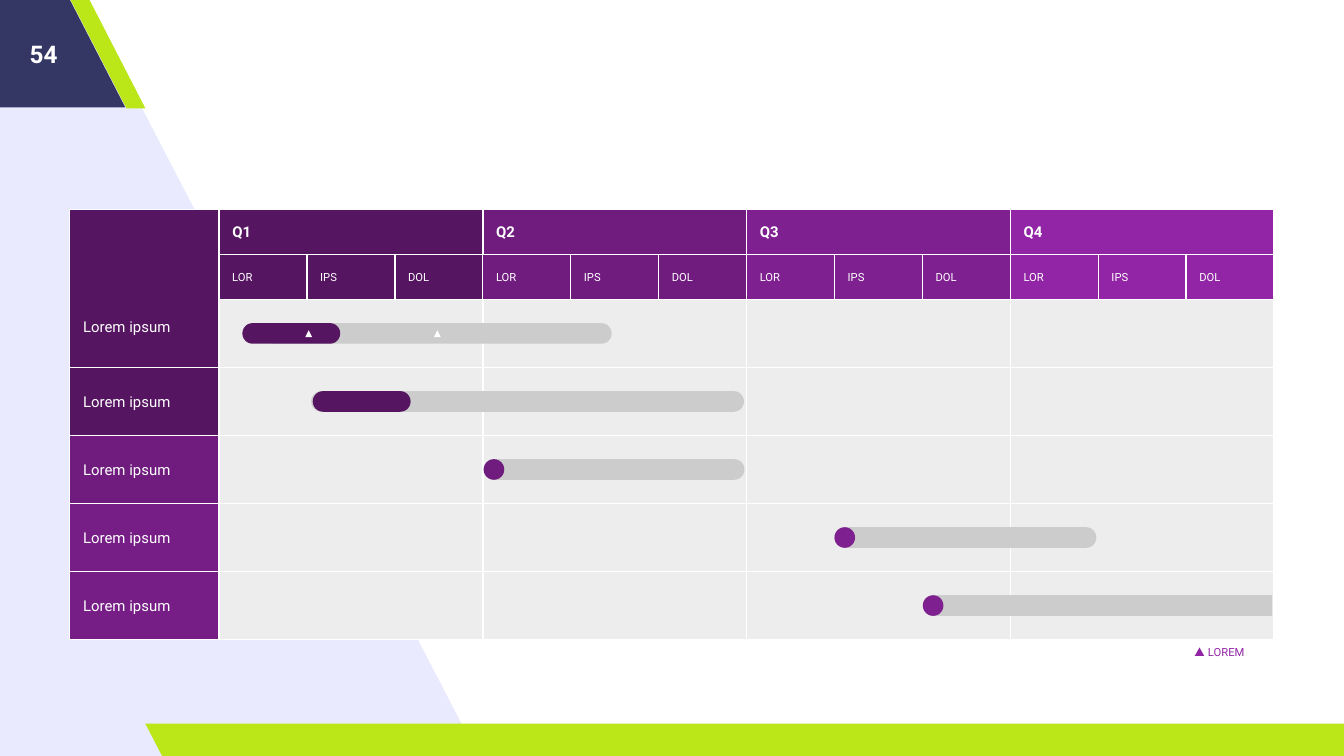
from pptx import Presentation, util as u
from pptx.dml.color import RGBColor
from pptx.enum import shapes, text

COLORS = {
    "white": "FFFFFF", "lavender": "E9EAFD", "navy": "343764", "lime": "BBE617",
    "cell": "EDEDED", "bar": "CCCCCC", "q1": "551561", "q2": "701C7F",
    "q3": "7F2090", "q4": "9225A5", "label": "761E86",
}
QUARTERS = ["q1", "q2", "q3", "q4"]
MONTHS = ["LOR", "IPS", "DOL"]
BAR_HEIGHT = 0.39
INSET = 0.25
KIND = shapes.MSO_SHAPE

# Each task: label colour, bar start and length, progress (start, length, colour), markers.
# Starts are measured in cm from the left edge of the quarter grid.
TASKS = [
    ("q1", 0.84, 6.58, (0.44, 1.85, "q1"), (1.63, 4.06)),
    ("q1", 1.74, 8.18, (1.77, 1.85, "q1"), ()),
    ("q2", 5.0, 4.93, (5.0, BAR_HEIGHT, "q2"), ()),
    ("label", 11.63, 4.95, (11.63, BAR_HEIGHT, "q3"), ()),
    ("label", 13.3, 6.6, (13.3, BAR_HEIGHT, "q3"), ()),
]


def rgb(name):
    return RGBColor.from_string(COLORS[name])


def paint(shape, color, outline=None):
    shape.shadow.inherit = False
    shape.fill.solid()
    shape.fill.fore_color.rgb = rgb(color)
    if outline:
        shape.line.color.rgb = rgb(outline)
        shape.line.width = u.Pt(0.75)
    else:
        shape.line.fill.background()


def add_block(slide, kind, box, color, outline=None, adjustments=(), flip=False):
    shape = slide.shapes.add_shape(kind, *map(u.Cm, box))
    paint(shape, color, outline)
    for index, value in enumerate(adjustments):
        shape.adjustments[index] = value
    if flip:
        shape._element.spPr.get_or_add_xfrm().set("flipH", "1")
    return shape


def write(shape, words, size, color="white", bold=False, align=text.PP_ALIGN.LEFT, **frame_format):
    frame = shape.text_frame
    settings = {
        "word_wrap": True, "vertical_anchor": text.MSO_ANCHOR.MIDDLE,
        "margin_left": u.Cm(INSET), "margin_right": u.Cm(INSET),
        "margin_top": u.Cm(INSET), "margin_bottom": u.Cm(INSET),
    }
    for name, value in {**settings, **frame_format}.items():
        setattr(frame, name, value)
    paragraph = frame.paragraphs[0]
    paragraph.alignment = align
    run = paragraph.add_run()
    run.text = words
    for name, value in {"name": "Roboto", "size": u.Pt(size), "bold": bold}.items():
        setattr(run.font, name, value)
    run.font.color.rgb = rgb(color)


def add_bar(slide, left, middle, length, color, right_round=0.5):
    # The shape stands upright and is turned, so its top becomes the right end
    box = (left + (length - BAR_HEIGHT) / 2, middle - length / 2, BAR_HEIGHT, length)
    bar = add_block(slide, KIND.ROUND_2_SAME_RECTANGLE, box, color,
                    adjustments=(right_round, 0.5))
    bar.rotation = 90


def add_backdrop(slide, box):
    left, top, width, height = box
    # Slanted panel
    points = [(9.04, height), (1.57, -0.1), (-0.16, -0.1), (-0.05, height + 0.09)]
    corners = [(u.Cm(left + x), u.Cm(top + y)) for x, y in points]
    builder = slide.shapes.build_freeform(*corners[0])
    builder.add_line_segments(corners[1:])
    paint(builder.convert_to_shape(), "lavender")
    # Corner and footer bands
    for x, y, band_width, band_height, color, slant in [
        (-2.51, -0.05, 4.88, 2.08, "navy", 0.515),
        (1.32, -0.03, 1.43, 2.08, "lime", 0.75),
        (2.75, 13.68, 23.24, 0.64, "lime", 0.515),
    ]:
        add_block(slide, KIND.PARALLELOGRAM, (left + x, top + y, band_width, band_height),
                  color, adjustments=(slant,), flip=True)
    # Page number
    number = slide.shapes.add_textbox(*map(u.Cm, (left, top, 1.65, 2.03)))
    write(number, "54", 13, bold=True, align=text.PP_ALIGN.CENTER)


def add_header(slide, box):
    left, top, width, height = box
    quarter, month, row = width / 4, width / 12, height / 2
    for index, color in enumerate(QUARTERS):
        x = left + index * quarter
        cell = add_block(slide, KIND.RECTANGLE, (x, top, quarter, row), color, "white")
        write(cell, color.upper(), 8, bold=True)
        for step, name in enumerate(MONTHS):
            cell = add_block(slide, KIND.RECTANGLE,
                             (x + step * month, top + row, month, row), color, "white")
            write(cell, name, 6)


def add_grid(slide, box):
    left, top, width, height = box
    quarter, row = width / 4, height / len(TASKS)
    for line in range(len(TASKS)):
        for column in range(4):
            add_block(slide, KIND.RECTANGLE,
                      (left + column * quarter, top + line * row, quarter, row),
                      "cell", "white")


def add_labels(slide, box, header_height):
    left, top, width, height = box
    row = (height - header_height) / len(TASKS)
    for index, task in enumerate(TASKS):
        y, cell_height, frame_format = top + header_height + index * row, row, {}
        if index == 0:  # the first label also fills the header corner
            y, cell_height = top, header_height + row
            frame_format = {"vertical_anchor": text.MSO_ANCHOR.BOTTOM,
                            "margin_bottom": u.Cm(0.6)}
        cell = add_block(slide, KIND.RECTANGLE, (left, y, width, cell_height),
                         task[0], "white")
        write(cell, "Lorem ipsum", 8, **frame_format)


def add_tasks(slide, box):
    left, top, width, height = box
    row = height / len(TASKS)
    for index, (_, start, length, progress, markers) in enumerate(TASKS):
        middle = top + (index + 0.5) * row
        runs_on = index == len(TASKS) - 1
        add_bar(slide, left + start, middle, length, "bar", 0 if runs_on else 0.5)
        done_start, done_length, color = progress
        add_bar(slide, left + done_start, middle, done_length, color)
        for marker in markers:
            add_block(slide, KIND.ISOSCELES_TRIANGLE,
                      (left + marker, middle - 0.06, 0.13, 0.13), "white")


def add_legend(slide, box):
    left, top, width, height = box
    caption = slide.shapes.add_textbox(*map(u.Cm, box))
    write(caption, "LOREM", 6, "q4")
    add_block(slide, KIND.ISOSCELES_TRIANGLE, (left, top + 0.05, 0.18, 0.16), "q4")


def add_timeline(slide, box):
    left, top, width, height = box
    label_width, header_height = 2.82, 1.7
    grid_left, grid_width = left + label_width, width - label_width
    body = (grid_left, top + header_height, grid_width, height - header_height)
    add_grid(slide, body)
    add_header(slide, (grid_left, top, grid_width, header_height))
    add_labels(slide, (left, top, label_width, height), header_height)
    add_tasks(slide, body)
    add_legend(slide, (left + width - 1.5, top + height + 0.1, 1.47, 0.28))


def main():
    presentation = Presentation()
    presentation.slide_width, presentation.slide_height = u.Cm(25.4), u.Cm(14.29)
    slide = presentation.slides.add_slide(presentation.slide_layouts[6])
    add_backdrop(slide, (0, 0, 25.4, 14.29))
    add_timeline(slide, (1.32, 3.96, 22.76, 8.13))
    presentation.save("out.pptx")


if __name__ == "__main__":
    main()
